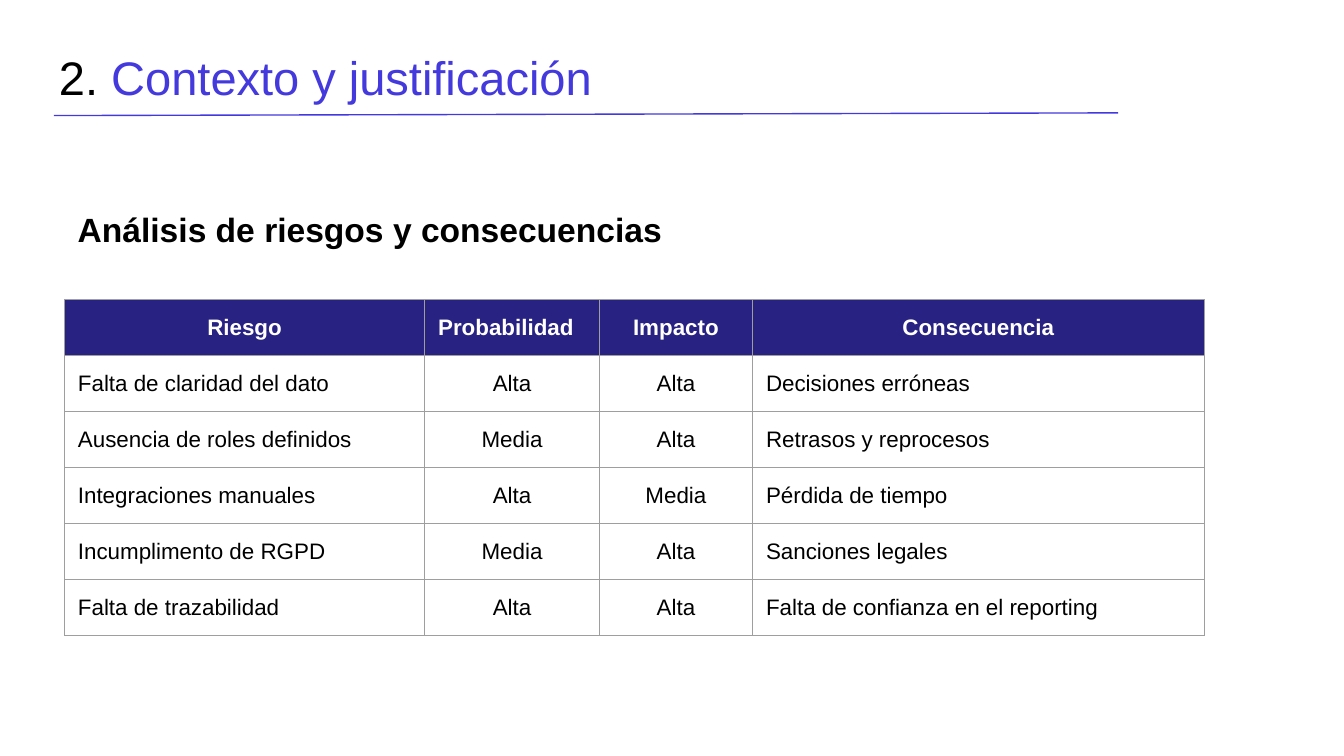
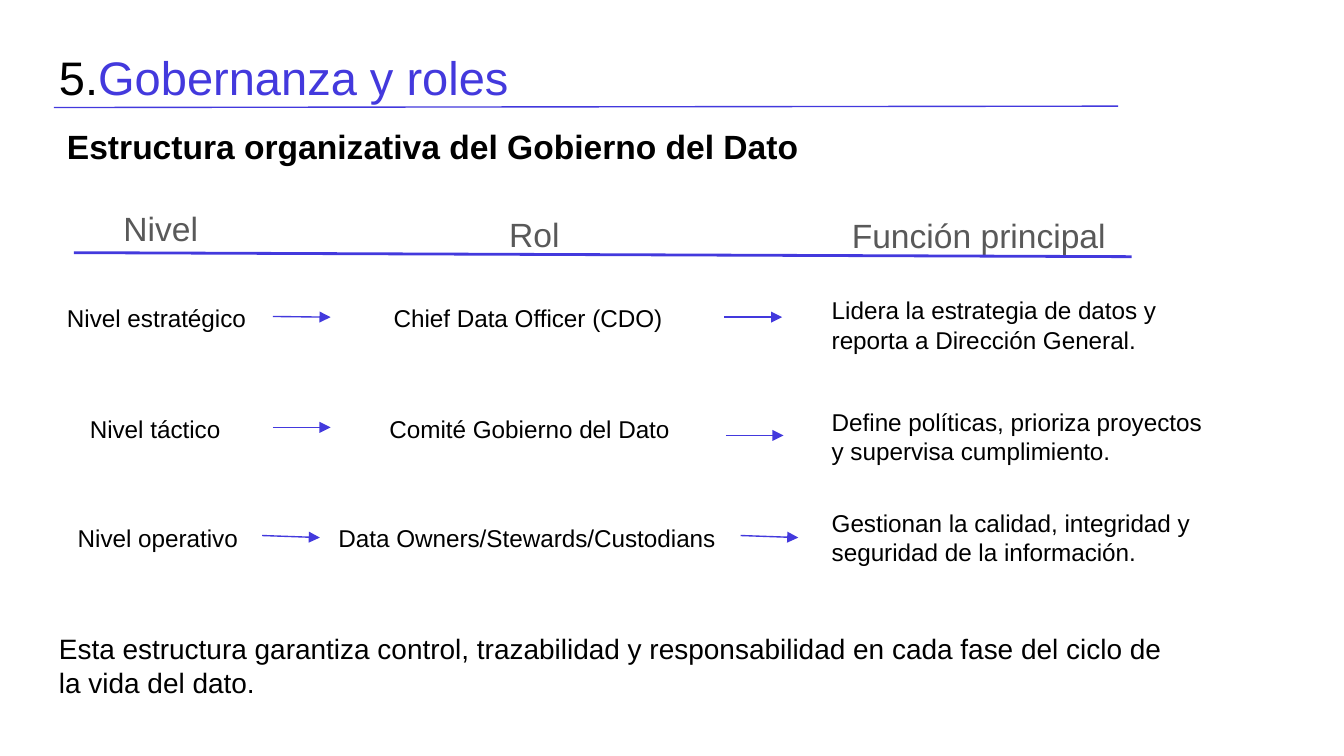
from dataclasses import dataclass

from lxml import etree
from pptx import Presentation
from pptx.dml.color import RGBColor
from pptx.enum.shapes import MSO_CONNECTOR
from pptx.enum.text import MSO_ANCHOR, PP_ALIGN
from pptx.oxml import parse_xml
from pptx.oxml.ns import nsdecls, qn
from pptx.util import Inches, Pt

STRAIGHT = MSO_CONNECTOR.STRAIGHT
MIDDLE = MSO_ANCHOR.MIDDLE
LEFT, CENTER = PP_ALIGN.LEFT, PP_ALIGN.CENTER
RIGHT_SIDE = 3


@dataclass(frozen=True)
class Theme:
    font: str = "Arial"
    black: str = "000000"
    white: str = "FFFFFF"
    gray: str = "595959"
    accent: str = "4339DD"
    header: str = "282283"
    border: str = "9E9E9E"
    title: float = 25.2
    heading: float = 18
    note: float = 15
    body: float = 13
    cell: float = 12
    thin: float = 0.75
    thick: float = 1.5
    inset: float = 0.1


T = Theme()


def add_text(s, box, parts, size, bold=False, spacing=None):
    sp = s.shapes.add_textbox(*map(Inches, box))
    tf = sp.text_frame
    tf.word_wrap = True
    tf.margin_left = tf.margin_right = tf.margin_top = tf.margin_bottom = Inches(T.inset)
    p = tf.paragraphs[0]
    if spacing:
        p.line_spacing = spacing
    for text, color in parts:
        r = p.add_run()
        r.text = text
        r.font.name = T.font
        r.font.size = Pt(size)
        r.font.bold = bold
        r.font.color.rgb = RGBColor.from_string(color)
    return sp


def add_line(s, points, width=T.thin, arrow=False):
    cx = s.shapes.add_connector(STRAIGHT, *map(Inches, points))
    cx.line.color.rgb = RGBColor.from_string(T.accent)
    cx.line.width = Pt(width)
    if arrow:
        etree.SubElement(cx.line._get_or_add_ln(), qn("a:tailEnd"), type="triangle")
    etree.SubElement(cx._element.spPr, qn("a:effectLst"))
    return cx


prs = Presentation()
prs.slide_width = Inches(10)
prs.slide_height = Inches(5.625)

pages = [
    ("2. ", "Contexto y justificación", (0.4, 0.86, 8.32, 0.84),
     "Análisis de riesgos y consecuencias", (0.48, 1.41, 5.74, 0.5)),
    ("5.", "Gobernanza y roles", (0.4, 0.8, 8.32, 0.79),
     "Estructura organizativa del Gobierno del Dato", (0.4, 0.79, 6.64, 0.5)),
]
slides = []
for number, title, rule, heading, heading_box in pages:
    s = prs.slides.add_slide(prs.slide_layouts[6])
    add_line(s, rule)
    add_text(s, (0.34, 0.26, 9.32, 0.63), [(number, T.black), (title, T.accent)], T.title)
    add_text(s, heading_box, [(heading, T.black)], T.heading, True, 1.15)
    slides.append(s)
risk_slide, roles_slide = slides

risks = [
    ("Riesgo", "Probabilidad", "Impacto", "Consecuencia"),
    ("Falta de claridad del dato", "Alta", "Alta", "Decisiones erróneas"),
    ("Ausencia de roles definidos", "Media", "Alta", "Retrasos y reprocesos"),
    ("Integraciones manuales", "Alta", "Media", "Pérdida de tiempo"),
    ("Incumplimento de RGPD", "Media", "Alta", "Sanciones legales"),
    ("Falta de trazabilidad", "Alta", "Alta", "Falta de confianza en el reporting"),
]
header_align = (CENTER, LEFT, CENTER, CENTER)
body_align = (LEFT, CENTER, CENTER, LEFT)
col_widths = (2.68, 1.3, 1.14, 3.36)
row_height = 0.417
table = risk_slide.shapes.add_table(
    len(risks), len(col_widths), Inches(0.48), Inches(2.23),
    Inches(sum(col_widths)), Inches(row_height * len(risks))).table
table.horz_banding = False
for column, width in zip(table.columns, col_widths):
    column.width = Inches(width)
for i, row in enumerate(risks):
    table.rows[i].height = Inches(row_height)
    is_header = i == 0
    for j, text in enumerate(row):
        cell = table.cell(i, j)
        cell.text = text
        cell.vertical_anchor = MIDDLE
        cell.margin_left = cell.margin_right = Inches(T.inset)
        cell.margin_top = cell.margin_bottom = Inches(T.inset)
        tcPr = cell._tc.get_or_add_tcPr()
        for side in "LRTB":
            tcPr.append(parse_xml(
                f'<a:ln{side} {nsdecls("a")} w="{Pt(T.thin)}"><a:solidFill>'
                f'<a:srgbClr val="{T.border}"/></a:solidFill></a:ln{side}>'))
        if is_header:
            cell.fill.solid()
            cell.fill.fore_color.rgb = RGBColor.from_string(T.header)
        else:
            cell.fill.background()
        p = cell.text_frame.paragraphs[0]
        p.alignment = (header_align if is_header else body_align)[j]
        font = p.runs[0].font
        font.name = T.font
        font.size = Pt(T.cell)
        font.bold = is_header
        font.color.rgb = RGBColor.from_string(T.white if is_header else T.black)

column_heads = [
    ("Nivel", (0.82, 1.45, 1.34, 0.39)),
    ("Rol", (3.69, 1.49, 0.68, 0.39)),
    ("Función principal", (6.24, 1.5, 2.34, 0.39)),
]
for text, box in column_heads:
    add_text(roles_slide, box, [(text, T.gray)], T.heading)
add_line(roles_slide, (0.55, 1.88, 8.42, 1.91), T.thick)

levels = [
    [("Nivel estratégico", (0.4, 2.16, 1.63, 0.39)),
     ("Chief Data Officer (CDO)", (2.83, 2.16, 2.28, 0.39)),
     ("Lidera la estrategia de datos y reporta a Dirección General.", (6.09, 2.1, 2.78, 0.39))],
    [("Nivel táctico", (0.57, 2.98, 1.27, 0.39)),
     ("Comité Gobierno del Dato", (2.8, 2.98, 2.34, 0.39)),
     ("Define políticas, prioriza proyectos y supervisa cumplimiento.", (6.09, 2.93, 3, 0.5))],
    [("Nivel operativo", (0.48, 3.79, 1.47, 0.39)),
     ("Data Owners/Stewards/Custodians", (2.42, 3.79, 3.09, 0.39)),
     ("Gestionan la calidad, integridad y seguridad de la información.", (6.09, 3.68, 3.09, 0.63))],
]
arrow_starts = [
    [(2.03, 2.36, True), (5.39, 2.36, False)],
    [(2.03, 3.18, False), (5.4, 3.24, False)],
    [(1.95, 4.0, True), (5.51, 4.0, True)],
]
arrow_length = 0.43
for level, starts in zip(levels, arrow_starts):
    boxes = [add_text(roles_slide, box, [(text, T.black)], T.body) for text, box in level]
    for sp, (x, y, joined) in zip(boxes, starts):
        cx = add_line(roles_slide, (x, y, x + arrow_length, y), arrow=True)
        if joined:
            cx.begin_connect(sp, RIGHT_SIDE)

summary = ("Esta estructura garantiza control, trazabilidad y responsabilidad "
           "en cada fase del ciclo de la vida del dato.")
add_text(roles_slide, (0.34, 4.6, 8.43, 0.7), [(summary, T.black)], T.note)

prs.save("out.pptx")
